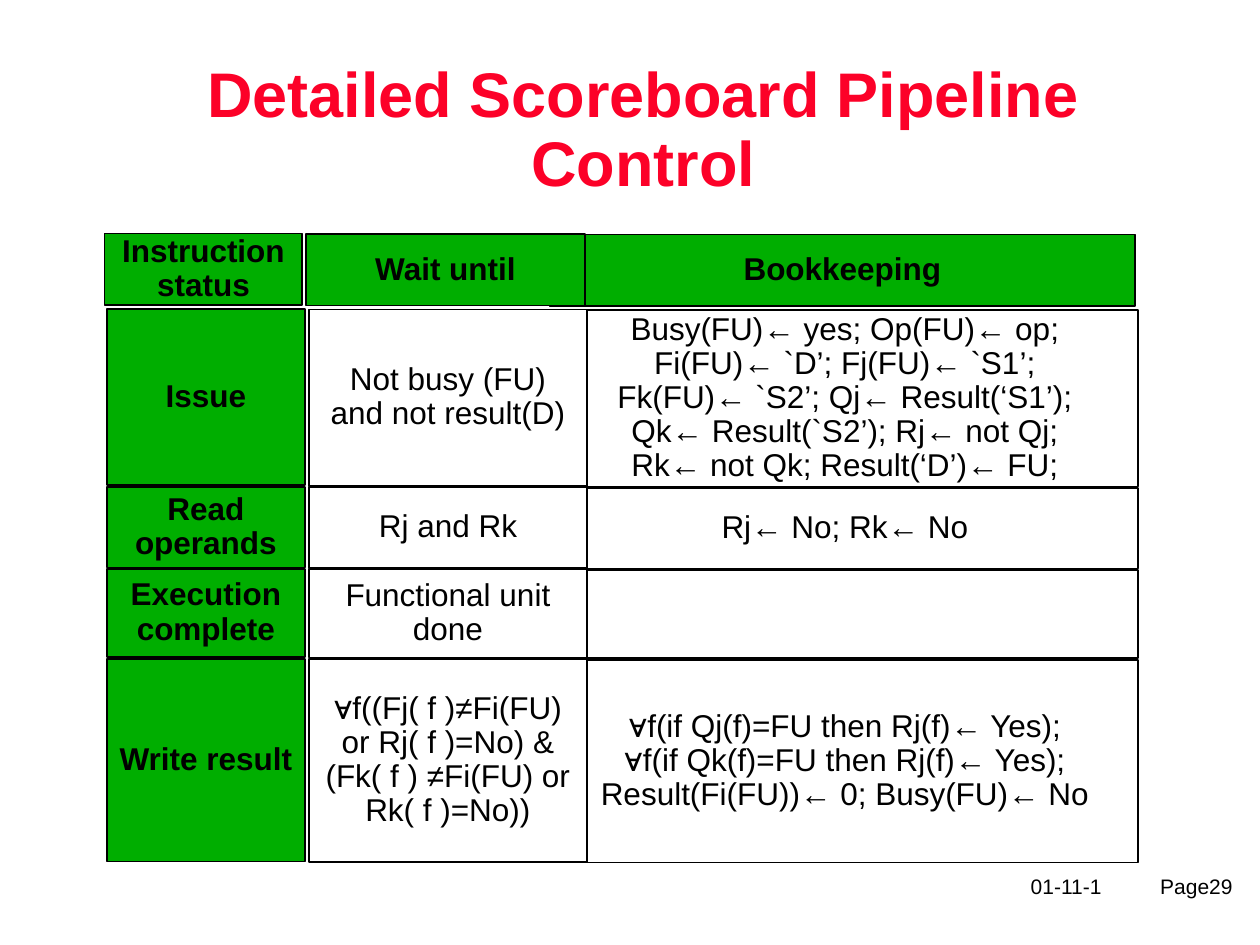
from pptx import Presentation
from pptx.dml.color import RGBColor
from pptx.enum.shapes import MSO_SHAPE
from pptx.enum.text import MSO_ANCHOR, PP_ALIGN
from pptx.oxml import parse_xml
from pptx.oxml.ns import nsdecls
from pptx.util import Pt

RECT = MSO_SHAPE.RECTANGLE
MIDDLE = MSO_ANCHOR.MIDDLE
CENTER, LEFT = PP_ALIGN.CENTER, PP_ALIGN.LEFT
FONT = "Arial"
GREEN, WHITE, BLACK, RED = "00AE00", "FFFFFF", "000000", "FC0128"

# Row tops and heights, relative to the top of the table; header first
ROWS = [(0, 41), (43.2, 100.8), (144.8, 46.1), (191.6, 50.4), (243, 115.9)]
NUDGE = 1.4  # header cells sit this far left of the body cells

# Columns in drawing order: left, top, width, green body, cell texts
COLUMNS = [
    (0, -0.6, 113, True, [
        "Instruction status", "Issue", "Read operands",
        "Execution complete", "Write result"]),
    (254.2, 0, 334.8, False, [
        "Bookkeeping",
        "Busy(FU)← yes; Op(FU)← op;\nFi(FU)← `D’; Fj(FU)← `S1’;\n"
        "Fk(FU)← `S2’; Qj← Result(‘S1’);\n"
        "Qk← Result(`S2’); Rj← not Qj;\nRk← not Qk; Result(‘D’)← FU;",
        "Rj← No; Rk← No",
        "",
        "∀f(if Qj(f)=FU then Rj(f)← Yes);\n"
        "∀f(if Qk(f)=FU then Rj(f)← Yes); "
        "Result(Fi(FU))← 0; Busy(FU)← No"]),
    (115.2, -0.3, 159.1, False, [
        "Wait until", "Not busy (FU) and not result(D)", "Rj and Rk",
        "Functional unit done",
        "∀f((Fj( f )≠Fi(FU)\nor Rj( f )=No) & (Fk( f ) ≠Fi(FU) or\n"
        "Rk( f )=No))"]),
]


def rgb(code):
    return RGBColor.from_string(code)


def write(shape, text, size, color=BLACK, bold=False, align=CENTER):
    """Put text in a shape, with a line break at each newline."""
    frame = shape.text_frame
    frame.word_wrap = True
    para = frame.paragraphs[0]
    para.alignment = align
    para.line_spacing = 0.9 if align == CENTER else 1.0
    for i, line in enumerate(text.split("\n")):
        if i:
            para.add_line_break()
        run = para.add_run()
        run.text = line
        run.font.name = FONT
        run.font.size = Pt(size)
        run.font.bold = bold
        run.font.color.rgb = rgb(color)
    return frame


def add_title(slide, x, y, w, h):
    box = slide.shapes.add_textbox(Pt(x), Pt(y), Pt(w), Pt(h))
    frame = write(box, "Detailed Scoreboard Pipeline Control", 36, RED, True)
    frame.vertical_anchor = MIDDLE


def add_cell(group, x, y, w, h, text, green, bold):
    cell = group.shapes.add_shape(RECT, Pt(x), Pt(y), Pt(w), Pt(h))
    cell.shadow.inherit = False
    cell.fill.solid()
    cell.fill.fore_color.rgb = rgb(GREEN if green else WHITE)
    cell.line.color.rgb = rgb(BLACK)
    cell.line.width = Pt(1)
    if text:
        write(cell, text, 18, bold=bold).vertical_anchor = MIDDLE


def add_grid(slide, x, y):
    for left, top, width, green, texts in COLUMNS:
        group = slide.shapes.add_group_shape()
        for i, ((down, high), text) in enumerate(zip(ROWS, texts)):
            head = i == 0
            shift = NUDGE if head else 0
            strong = head or green
            add_cell(group, x + left - shift, y + top + down, width, high,
                     text, strong, strong)


def add_footer(slide, x, y, w, h):
    box = slide.shapes.add_textbox(Pt(x), Pt(y), Pt(w), Pt(h))
    # The page number starts at a tab stop
    props = box.text_frame.paragraphs[0]._p.get_or_add_pPr()
    props.append(parse_xml(
        f'<a:tabLst {nsdecls("a")}><a:tab pos="{Pt(74)}" algn="l"/></a:tabLst>'))
    frame = write(box, "01-11-1\tPage29", 12, align=LEFT)
    frame.margin_left = Pt(49)


def main():
    deck = Presentation()
    deck.slide_width, deck.slide_height = Pt(720), Pt(540)
    slide = deck.slides.add_slide(deck.slide_layouts[6])
    add_footer(slide, 540, 495.4, 172, 21.6)
    add_title(slide, 85.7, 30.2, 563.8, 90)
    add_grid(slide, 61.2, 134)
    deck.save("out.pptx")


if __name__ == "__main__":
    main()
